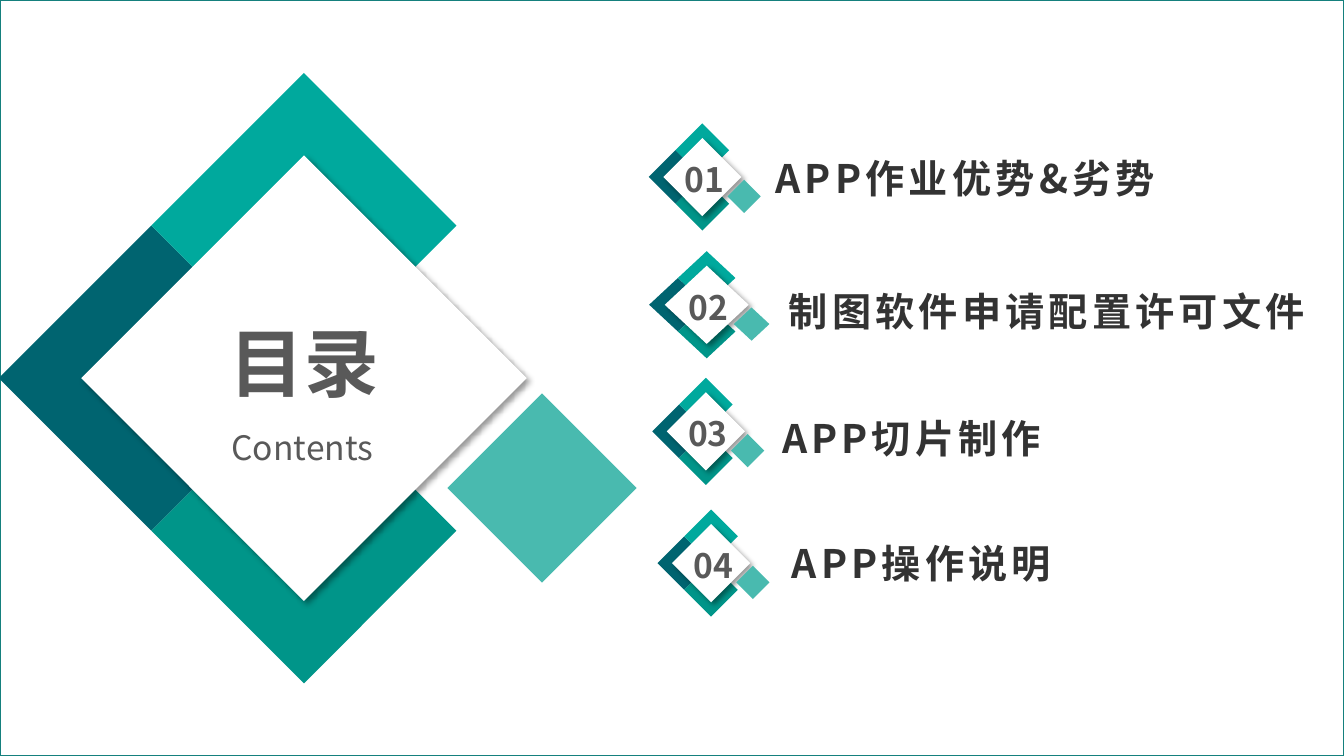
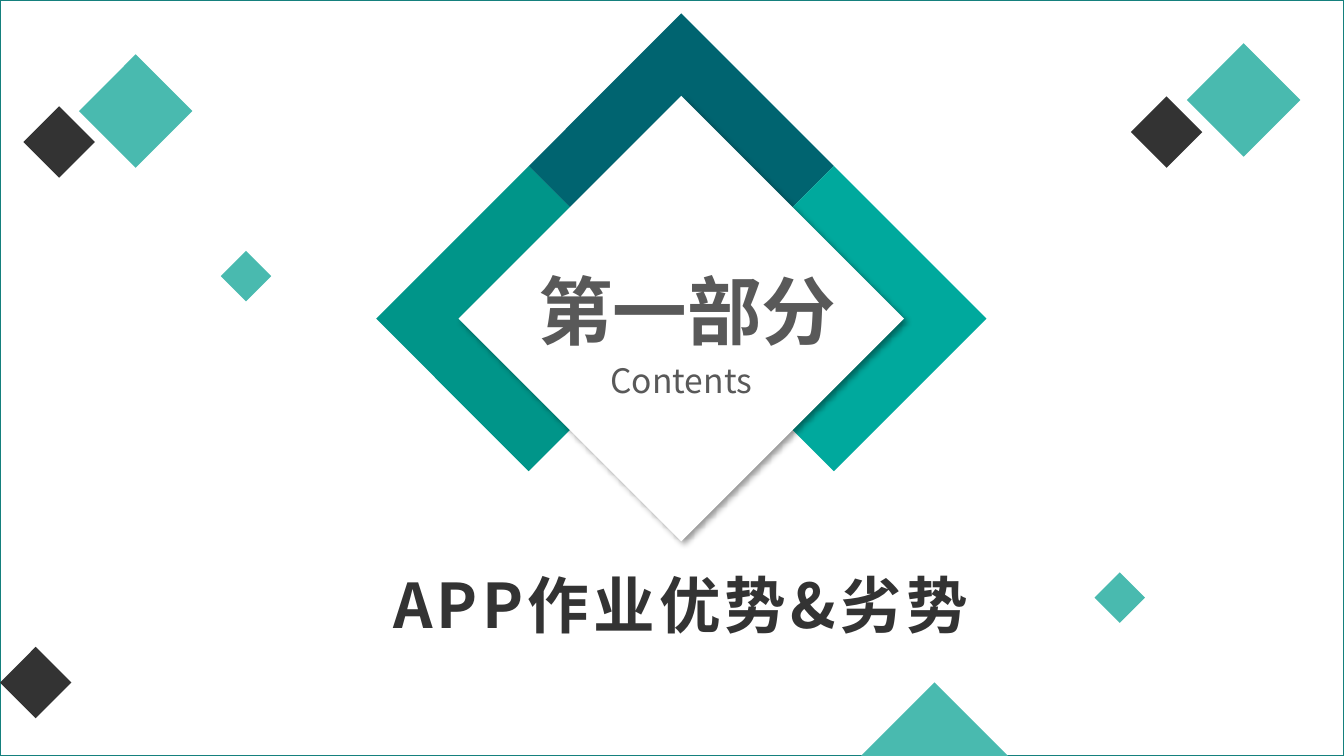
"""Build the contents slide and the first section slide."""
from dataclasses import dataclass

from lxml.etree import SubElement
from pptx import Presentation
from pptx.dml.color import RGBColor
from pptx.enum.shapes import MSO_SHAPE as Preset
from pptx.enum.text import MSO_ANCHOR as Anchor, MSO_AUTO_SIZE as AutoSize, PP_ALIGN as Align
from pptx.oxml.ns import qn
from pptx.shapes.autoshape import Shape
from pptx.shapes.group import GroupShape
from pptx.shapes.shapetree import GroupShapes, SlideShapes
from pptx.slide import Slide, SlideLayout
from pptx.util import Cm, Pt

COLORS = {
    "dark": "006470",
    "bright": "00A99D",
    "green": "009589",
    "accent": "49BAAF",
    "ink": "333333",
    "grey": "595959",
    "white": "FFFFFF",
    "border": "15807D",
}
FONT = "Noto Sans CJK SC"
SLIDE_WIDTH, SLIDE_HEIGHT = Cm(33.87), Cm(19.05)
ARMS = {"dark": (-1, 0), "bright": (0, -1), "green": (0, 1)}
CARD_RATIO, ACCENT_RATIO = 1.46, 0.62
ACCENT_OFFSET = (0.78, 0.36)


@dataclass(frozen=True)
class Box:
    left: float
    top: float
    width: float
    height: float


@dataclass(frozen=True)
class TextStyle:
    size: float
    color: str
    bold: bool = True
    spacing: int = 0
    align: Align = Align.CENTER


@dataclass(frozen=True)
class Diamond:
    color: str
    x: float
    y: float
    width: float
    height: float


@dataclass(frozen=True)
class Emblem:
    x: float
    y: float
    arm_width: float
    arm_height: float
    turned: bool = False


@dataclass(frozen=True)
class Chapter:
    number: str
    caption: str
    emblem: Emblem
    caption_left: float
    caption_top: float
    caption_width: float = 13.16


HEADING = TextStyle(53.3, "grey")
SUBTITLE = TextStyle(24, "grey", bold=False)
NUMBER = TextStyle(24, "grey")
CAPTION = TextStyle(28, "ink", spacing=300, align=Align.LEFT)
SECTION = TextStyle(44, "ink", spacing=300)

CHAPTERS = [
    Chapter("01", "APP作业优势&劣势", Emblem(17.7, 4.46, 1.35, 1.35), 19.3, 3.76),
    Chapter("02", "制图软件申请配置许可文件", Emblem(17.81, 7.68, 1.45, 1.35), 19.63, 7.11, 13.64),
    Chapter("03", "APP切片制作", Emblem(17.79, 10.87, 1.35, 1.35), 19.46, 10.31),
    Chapter("04", "APP操作说明", Emblem(17.92, 14.19, 1.35, 1.35), 19.71, 13.46),
]

DECORATIONS = [
    Diamond("ink", 29.4, 3.33, 1.8, 1.8),
    Diamond("accent", 31.34, 2.52, 2.86, 2.86),
    Diamond("accent", 23.55, 19.61, 4.83, 4.83),
    Diamond("ink", 1.49, 3.58, 1.8, 1.8),
    Diamond("accent", 3.42, 2.8, 2.86, 2.86),
    Diamond("ink", 0.9, 17.2, 1.8, 1.8),
    Diamond("accent", 6.2, 6.96, 1.27, 1.27),
    Diamond("accent", 28.22, 15.06, 1.27, 1.27),
]


def rgb(name: str) -> RGBColor:
    return RGBColor.from_string(COLORS[name])


def write(shape: Shape, text: str, style: TextStyle) -> None:
    frame = shape.text_frame
    frame.word_wrap = True
    frame.auto_size = AutoSize.NONE
    frame.vertical_anchor = Anchor.TOP
    paragraph = frame.paragraphs[0]
    paragraph.alignment = style.align
    run = paragraph.add_run()
    run.text = text
    font = run.font
    font.name = FONT
    font.size = Pt(style.size)
    font.bold = style.bold
    font.color.rgb = rgb(style.color)
    properties = run._r.get_or_add_rPr()
    if style.spacing:
        properties.set("spc", str(style.spacing))
    SubElement(properties, qn("a:ea"), typeface=FONT)


def add_text(shapes: SlideShapes | GroupShapes, box: Box, text: str, style: TextStyle) -> Shape:
    shape = shapes.add_textbox(Cm(box.left), Cm(box.top), Cm(box.width), Cm(box.height))
    write(shape, text, style)
    return shape


def add_subtitle(group: GroupShape, box: Box) -> None:
    frame = add_text(group.shapes, box, "Contents", SUBTITLE).text_frame
    frame.vertical_anchor = Anchor.BOTTOM
    frame.margin_left = frame.margin_right = frame.margin_top = frame.margin_bottom = 0


def set_title(slide: Slide, box: Box, text: str, style: TextStyle) -> None:
    title = slide.shapes.title
    title.left, title.top = Cm(box.left), Cm(box.top)
    title.width, title.height = Cm(box.width), Cm(box.height)
    write(title, text, style)
    slide.shapes.element.append(title.element)


def add_diamond(shapes: SlideShapes | GroupShapes, diamond: Diamond) -> Shape:
    shape = shapes.add_shape(
        Preset.DIAMOND,
        Cm(diamond.x - diamond.width / 2),
        Cm(diamond.y - diamond.height / 2),
        Cm(diamond.width),
        Cm(diamond.height),
    )
    shape.shadow.inherit = False
    shape.fill.solid()
    shape.fill.fore_color.rgb = rgb(diamond.color)
    shape.line.fill.background()
    return shape


def add_card_shadow(shape: Shape) -> None:
    effects = shape.element.spPr.find(qn("a:effectLst"))
    shadow = SubElement(
        effects, qn("a:outerShdw"), blurRad=str(Pt(4)), dist=str(Pt(3)),
        dir="2700000", algn="tl", rotWithShape="0",
    )
    color = SubElement(shadow, qn("a:srgbClr"), val="000000")
    SubElement(color, qn("a:alpha"), val="40000")


def add_emblem(slide: Slide, emblem: Emblem) -> GroupShape:
    group = slide.shapes.add_group_shape()
    width, height = emblem.arm_width, emblem.arm_height

    def part(color: str, across: float, down: float, ratio: float) -> Shape:
        x, y = emblem.x + across * width, emblem.y + down * height
        return add_diamond(group.shapes, Diamond(color, x, y, ratio * width, ratio * height))

    for color, (across, down) in ARMS.items():
        if emblem.turned:
            across, down = -down, across
        part(color, across / 2, down / 2, 1)
    add_card_shadow(part("white", 0, 0, CARD_RATIO))
    if not emblem.turned:
        part("accent", *ACCENT_OFFSET, ACCENT_RATIO)
    return group


def add_chapter(slide: Slide, chapter: Chapter) -> None:
    emblem = chapter.emblem
    group = add_emblem(slide, emblem)
    width = 1.4 * emblem.arm_width
    number_box = Box(emblem.x + 0.05 - width / 2, emblem.y - 0.58, width, 0.97)
    add_text(group.shapes, number_box, chapter.number, NUMBER)
    caption_box = Box(chapter.caption_left, chapter.caption_top, chapter.caption_width, 1.45)
    add_text(group.shapes, caption_box, chapter.caption, CAPTION)


def add_border(slide: Slide, layout: SlideLayout) -> None:
    border = slide.shapes.add_shape(Preset.RECTANGLE, 0, 0, SLIDE_WIDTH, SLIDE_HEIGHT)
    border.shadow.inherit = False
    border.fill.solid()
    border.fill.fore_color.rgb = rgb("white")
    color = border.element.spPr.find(qn("a:solidFill")).find(qn("a:srgbClr"))
    SubElement(color, qn("a:alpha"), val="56000")
    border.line.color.rgb = rgb("border")
    border.line.width = Pt(1)
    layout.shapes.element.insert(2, border.element)


def build_contents(slide: Slide) -> None:
    group = add_emblem(slide, Emblem(7.66, 9.53, 7.69, 7.69))
    add_subtitle(group, Box(4.47, 9.98, 6.3, 1.8))
    for chapter in CHAPTERS:
        add_chapter(slide, chapter)
    set_title(slide, Box(4.52, 7.85, 6.3, 3.23), "目录", HEADING)


def build_section(slide: Slide) -> None:
    group = add_emblem(slide, Emblem(17.17, 8.03, 7.69, 7.69, turned=True))
    add_subtitle(group, Box(14.02, 8.28, 6.3, 1.8))
    add_text(group.shapes, Box(13.18, 6.55, 8.28, 3.23), "第一部分", HEADING)
    for diamond in DECORATIONS:
        add_diamond(slide.shapes, diamond)
    set_title(slide, Box(8.38, 14.17, 17.55, 2.13), CHAPTERS[0].caption, SECTION)


def main() -> None:
    presentation = Presentation()
    presentation.slide_width, presentation.slide_height = SLIDE_WIDTH, SLIDE_HEIGHT
    layout = presentation.slide_layouts.get_by_name("Title Only")
    contents, section = (presentation.slides.add_slide(layout) for _ in range(2))
    add_border(contents, layout)
    build_contents(contents)
    build_section(section)
    presentation.save("out.pptx")


if __name__ == "__main__":
    main()
